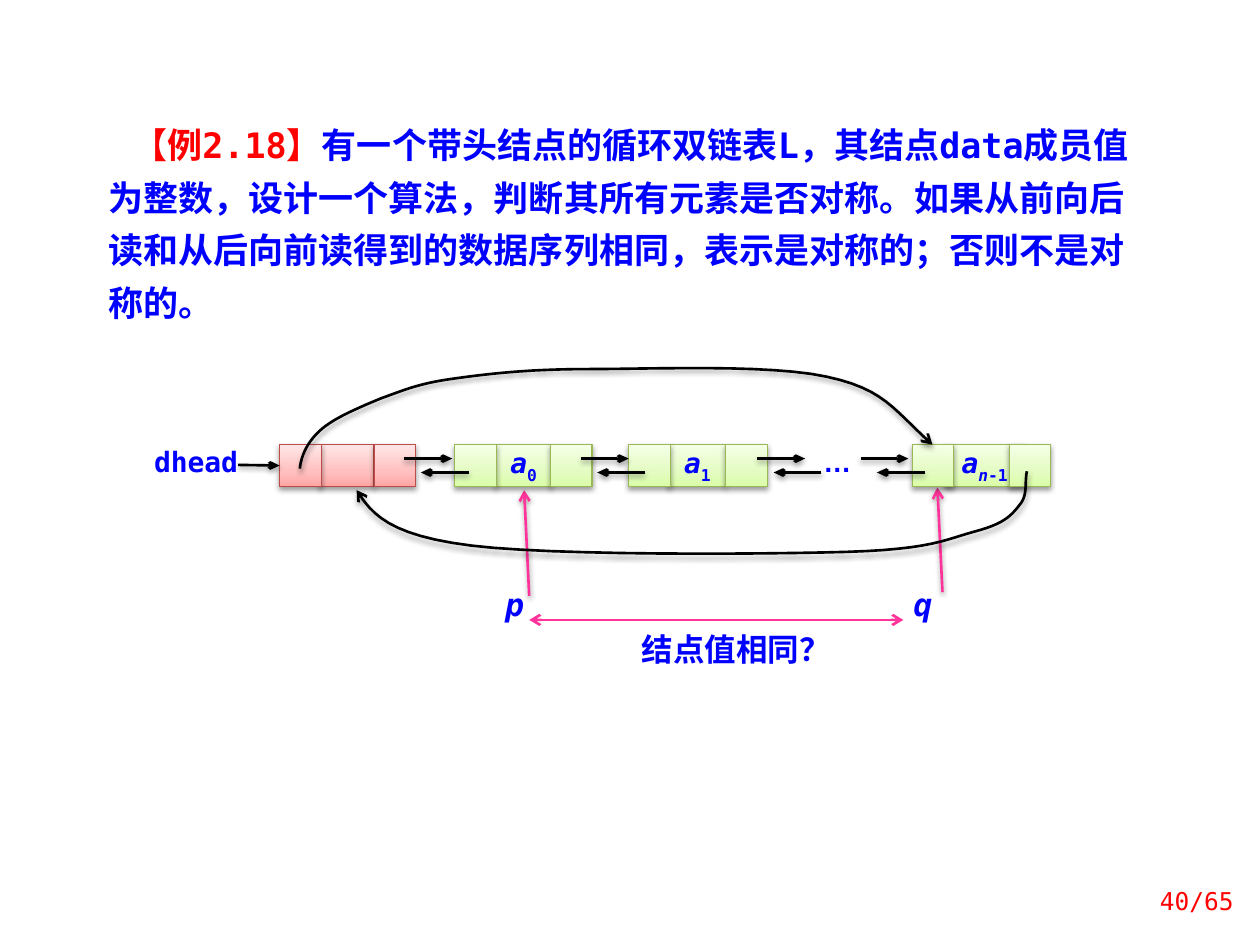
from pptx import Presentation, util as u
from pptx.dml.color import RGBColor
from pptx.enum import shapes, text
from pptx.oxml import parse_xml
from pptx.oxml.ns import nsdecls

# The slide is a grid of 100 columns and 75 rows.
WIDE, HIGH = u.Inches(10), u.Inches(7.5)
CELL = WIDE / 100
MONO, HAN = "DejaVu Sans Mono", "Noto Sans CJK SC"
BLUE, RED, PINK, BLACK, WHITE = "0000FF", "FF0000", "FF3399", "000000", "FFFFFF"
ROSE = ("BF4C48", "FFA6A5", "FFC0BF", "FFE7E7")
LIME = ("98B955", "DAFDA7", "E4FCC2", "F5FFE7")
TOP, TALL, SIDE = 35.3, 3.3, 3.3
LEFT, MID, RIGHT = text.PP_ALIGN.LEFT, text.PP_ALIGN.CENTER, text.PP_ALIGN.RIGHT


def grid(*spans):
    return [round(s * CELL) for s in spans]


def paint(code):
    return RGBColor.from_string(code)


def node_xml(tag, body="", attrs=""):
    return parse_xml(f"<a:{tag} {nsdecls('a')} {attrs}>{body}</a:{tag}>")


def shade(shape, soft=True):
    """Give the shape a soft shadow, or none at all."""
    glow = (f'<a:outerShdw blurRad="{u.Pt(3.1)}" dist="{u.Pt(1.6)}" dir="5400000" rotWithShape="0">'
            '<a:srgbClr val="000000"><a:alpha val="38000"/></a:srgbClr></a:outerShdw>')
    props = shape._element.spPr
    for old in props.findall("{*}effectLst"):
        props.remove(old)
    props.append(node_xml("effectLst", glow if soft else ""))


def stroke(shape, color, ends=("tail",), width="med"):
    shape.line.color.rgb = paint(color)
    shape.line.width = u.Pt(1.5)
    line = shape.line._get_or_add_ln()
    for end in ends:
        line.append(node_xml(end + "End", attrs=f'type="arrow" w="{width}" len="med"'))


def write(shape, runs, align=MID, size=16, pads=(1, 0, 1, 0), space=None,
          indent=0, anchor=text.MSO_ANCHOR.TOP):
    """Fill one paragraph; each run is its text and a dict of font changes."""
    frame = shape.text_frame
    frame.word_wrap, frame.vertical_anchor = True, anchor
    (frame.margin_left, frame.margin_top,
     frame.margin_right, frame.margin_bottom) = grid(*pads)
    para = frame.paragraphs[0]
    para.alignment = align
    if space:
        para.line_spacing = space
    if indent:
        para._p.get_or_add_pPr().set("indent", str(grid(indent)[0]))
    for words, look in runs:
        run = para.add_run()
        run.text = words
        font = run.font
        font.size, font.name = u.Pt(size), look.get("face", MONO)
        font.bold, font.italic = look.get("bold", True), look.get("slant", False)
        font.color.rgb = paint(look.get("color", BLUE))
        props = run._r.get_or_add_rPr()
        props.append(node_xml("ea", attrs=f'typeface="{HAN}"'))
        if look.get("low"):
            props.set("baseline", "-30000")


def label(slide, spot, runs, **look):
    box = slide.shapes.add_textbox(*grid(*spot))
    write(box, runs, **look)


def panel(slide, spot, runs, **look):
    """White rectangle that holds text."""
    box = slide.shapes.add_shape(shapes.MSO_SHAPE.RECTANGLE, *grid(*spot))
    box.fill.solid()
    box.fill.fore_color.rgb = paint(WHITE)
    box.line.fill.background()
    shade(box, False)
    write(box, runs, **look)


def block(slide, left, wide, tint):
    box = slide.shapes.add_shape(shapes.MSO_SHAPE.RECTANGLE, *grid(left, TOP, wide, TALL))
    edge, *stops = tint
    marks = "".join(f'<a:gs pos="{pos}000"><a:srgbClr val="{code}"/></a:gs>'
                    for pos, code in zip((0, 35, 100), stops))
    box._element.spPr.append(node_xml(
        "gradFill", f'<a:gsLst>{marks}</a:gsLst><a:lin ang="16200000" scaled="1"/>',
        'rotWithShape="1"'))
    box.line.color.rgb = paint(edge)
    box.line.width = u.Pt(0.75)
    shade(box)
    return box


def node(slide, left, mid, wide, right, tint, runs):
    """List node: data cell, next cell and prior cell."""
    data = block(slide, mid, wide, tint)
    if runs:
        write(data, runs, space=u.Pt(23))
    block(slide, right, SIDE, tint)
    return block(slide, left, SIDE, tint)


def arrow(slide, start, stop, color=BLACK, ends=("tail",), soft=True, width="med"):
    line = slide.shapes.add_connector(shapes.MSO_CONNECTOR.STRAIGHT, *grid(*start, *stop))
    stroke(line, color, ends, width)
    shade(line, soft)
    return line


def pair(slide, left):
    """Next link above, prior link below."""
    arrow(slide, (left, 36.4), (left + 3.8, 36.4), width="sm")
    arrow(slide, (left + 5.1, 37.5), (left + 1.3, 37.5), width="sm")


def curve(slide, start, bends, steps=12):
    """Smooth arrow through cubic bends, each of two controls and an end."""
    dots, last = [], start
    for bend in bends:
        knots = (last, *bend)
        for step in range(1, steps + 1):
            t = step / steps
            parts = ((1 - t) ** 3, 3 * t * (1 - t) ** 2, 3 * t * t * (1 - t), t ** 3)
            dots.append(grid(*(sum(p * k[axis] for p, k in zip(parts, knots))
                               for axis in (0, 1))))
        last = bend[-1]
    path = slide.shapes.build_freeform(*grid(*start))
    path.add_line_segments(dots, close=False)
    shape = path.convert_to_shape()
    shape.fill.background()
    stroke(shape, BLACK)
    shade(shape)


def main():
    deck = Presentation()
    deck.slide_width, deck.slide_height = WIDE, HIGH
    slide = deck.slides.add_slide(deck.slide_layouts[6])

    panel(slide, (7, 7.8, 84.4, 18.8), [
        ("【例2.18】", {"color": RED}),
        ("有一个带头结点的循环双链表L，其结点data成员值为整数，设计一个算法，"
         "判断其所有元素是否对称。如果从前向后读和从后向前读得到的数据序列相同，"
         "表示是对称的；否则不是对称的。", {}),
    ], align=LEFT, size=20, pads=(1.6, 1.2, 1, 1.2), space=u.Pt(30), indent=1.9)

    pads = (1, 0.5, 1, 0.5)
    for name, left, wide, foot, tip in (("p", 38.1, 5.5, (42, 47.3), (41.6, 38.9)),
                                        ("q", 70.9, 4.7, (74.8, 47), (74.4, 38.7))):
        label(slide, (left, 46.5, wide, 3.5), [(name, {"slant": True})],
              size=18, pads=pads, space=0.8)
        arrow(slide, foot, tip, PINK)
    arrow(slide, (42, 49.2), (71.7, 49.2), PINK, ("head", "tail"), soft=False)
    label(slide, (49.8, 49.5, 14.8, 4), [("结点值相同？", {"face": HAN})], size=18, pads=pads)

    item, low = ("a", {"slant": True}), {"low": True}
    first = node(slide, 22.2, 25.4, 4.3, 29.7, ROSE, [])
    node(slide, 36.1, 39.3, 4.5, 43.7, LIME, [item, ("0", low)])
    node(slide, 49.9, 53.1, 4.5, 57.6, LIME, [item, ("1", low)])
    node(slide, 72.4, 75, 6.3, 80.1, LIME,
         [item, ("n", {"slant": True, "low": True}), ("-1", low)])

    panel(slide, (11.7, TOP, 8.5, TALL), [("dhead", {})], pads=(0.2, 0, 1, 0))
    arrow(slide, (18.9, 36.9), (22.2, 36.9), width="sm").end_connect(first, 1)
    panel(slide, (63.9, TOP, 5.1, TALL), [("…", {"face": "Arial"})])
    for left in (32.1, 46.1, 60.1, 68.3):
        pair(slide, left)

    curve(slide, (81.5, 37.4), [
        ((81.3, 38.4), (81.6, 39.3), (80.9, 40.1)),
        ((80.2, 41), (79.6, 41.6), (77.3, 42.2)),
        ((75.1, 42.8), (73.9, 43.6), (67.2, 43.8)),
        ((60.5, 44), (43.8, 44.1), (37.4, 43.3)),
        ((30.9, 42.5), (29.5, 40.8), (28.3, 38.9))])
    curve(slide, (23.8, 37.2), [
        ((23.9, 36.1), (24.5, 34.9), (25.6, 34)),
        ((26.7, 33.1), (28.6, 32.3), (30.3, 31.6)),
        ((32, 31), (33, 30.5), (35.7, 30.1)),
        ((38.5, 29.7), (41.7, 29.3), (46.7, 29.3)),
        ((51.7, 29.3), (61, 28.9), (65.6, 29.9)),
        ((70.2, 30.9), (70.8, 32.4), (74, 35.3))])

    label(slide, (89.8, 69.5, 9.1, 4), [("40/65", {"color": RED, "bold": False})],
          align=RIGHT, size=14, pads=pads, anchor=text.MSO_ANCHOR.MIDDLE)
    deck.save("out.pptx")


if __name__ == "__main__":
    main()
